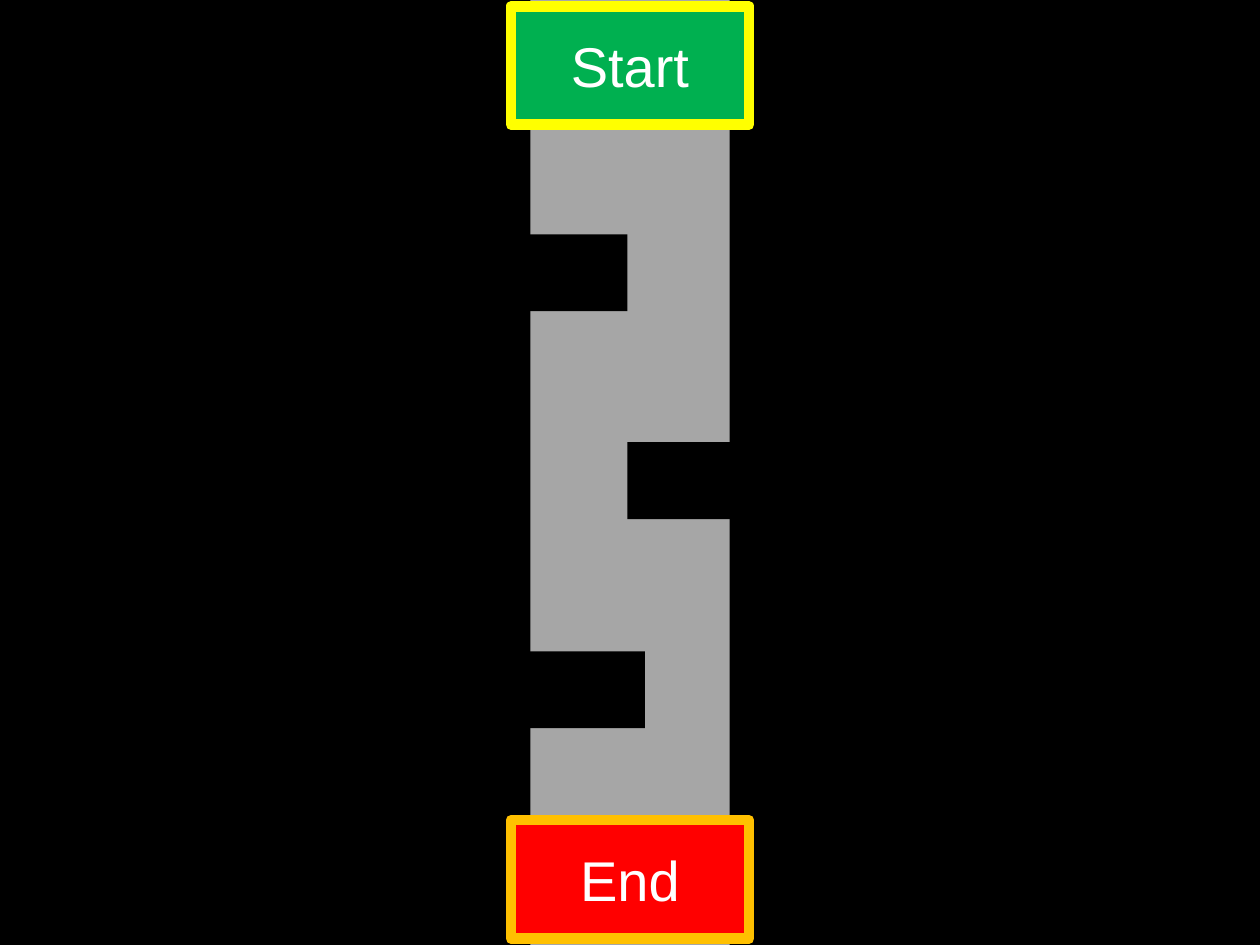
from dataclasses import dataclass

from pptx import Presentation
from pptx.dml.color import RGBColor as Rgb
from pptx.enum.shapes import MSO_SHAPE as Kind
from pptx.enum.text import MSO_ANCHOR as Anchor, PP_ALIGN as Align
from pptx.util import Inches, Pt

WIDE, HIGH, SIDE = 10, 7.5, 4.21


@dataclass(frozen=True)
class Theme:
    """Colours, font and sizes of the maze."""
    path_grey: str = "A6A6A6"
    wall: str = "000000"
    text: str = "FFFFFF"
    start: str = "00B050"
    start_edge: str = "FFFF00"
    end: str = "FF0000"
    end_edge: str = "FFC000"
    font: str = "Arial"
    size: int = 32
    edge: int = 6


@dataclass(frozen=True)
class Block:
    """A plain filled rectangle, in inches."""
    left: float
    top: float
    width: float
    height: float
    fill: str


@dataclass(frozen=True)
class Gate:
    """A labelled box at one end of the path."""
    label: str
    top: float
    fill: str
    edge: str


THEME = Theme()
FLOOR = Block(0, 0, WIDE, HIGH, THEME.path_grey)
SIDES = [Block(x, 0, SIDE, HIGH, THEME.wall) for x in (0, WIDE - SIDE)]
BARS = [Block(x, y, 2.26, 0.61, THEME.wall)
        for x, y in ((2.72, 1.86), (4.98, 3.51), (2.86, 5.17))]
GATES = [Gate("End", 6.51, THEME.end, THEME.end_edge),
         Gate("Start", 0.05, THEME.start, THEME.start_edge)]


def apply(target, values: dict) -> None:
    """Set each named attribute on the target."""
    for name, value in values.items():
        setattr(target, name, value)


def draw_block(slide, block: Block, kind=Kind.RECTANGLE):
    """Draw a filled shape with no line or shadow."""
    box = (block.left, block.top, block.width, block.height)
    shape = slide.shapes.add_shape(kind, *map(Inches, box))
    shape.shadow.inherit = False
    shape.fill.solid()
    shape.fill.fore_color.rgb = Rgb.from_string(block.fill)
    shape.line.fill.background()
    return shape


def draw_gate(slide, gate: Gate) -> None:
    """Draw a bordered box with its centred label."""
    width = 1.89
    block = Block((WIDE - width) / 2, gate.top, width, 0.94, gate.fill)
    shape = draw_block(slide, block, Kind.ROUNDED_RECTANGLE)
    shape.adjustments[0] = 0
    shape.line.color.rgb = Rgb.from_string(gate.edge)
    shape.line.width = Pt(THEME.edge)
    frame = shape.text_frame
    apply(frame, {"text": gate.label, "vertical_anchor": Anchor.MIDDLE})
    para = frame.paragraphs[0]
    para.alignment = Align.CENTER
    font = para.runs[0].font
    apply(font, {"name": THEME.font, "size": Pt(THEME.size)})
    font.color.rgb = Rgb.from_string(THEME.text)


def main() -> None:
    """Build the maze slide and save it."""
    deck = Presentation()
    apply(deck, {"slide_width": Inches(WIDE), "slide_height": Inches(HIGH)})
    slide = deck.slides.add_slide(deck.slide_layouts[6])
    for block in (FLOOR, *SIDES):
        draw_block(slide, block)
    for gate in GATES:
        draw_gate(slide, gate)
    for bar in BARS:
        draw_block(slide, bar)
    deck.save("out.pptx")


if __name__ == "__main__":
    main()
